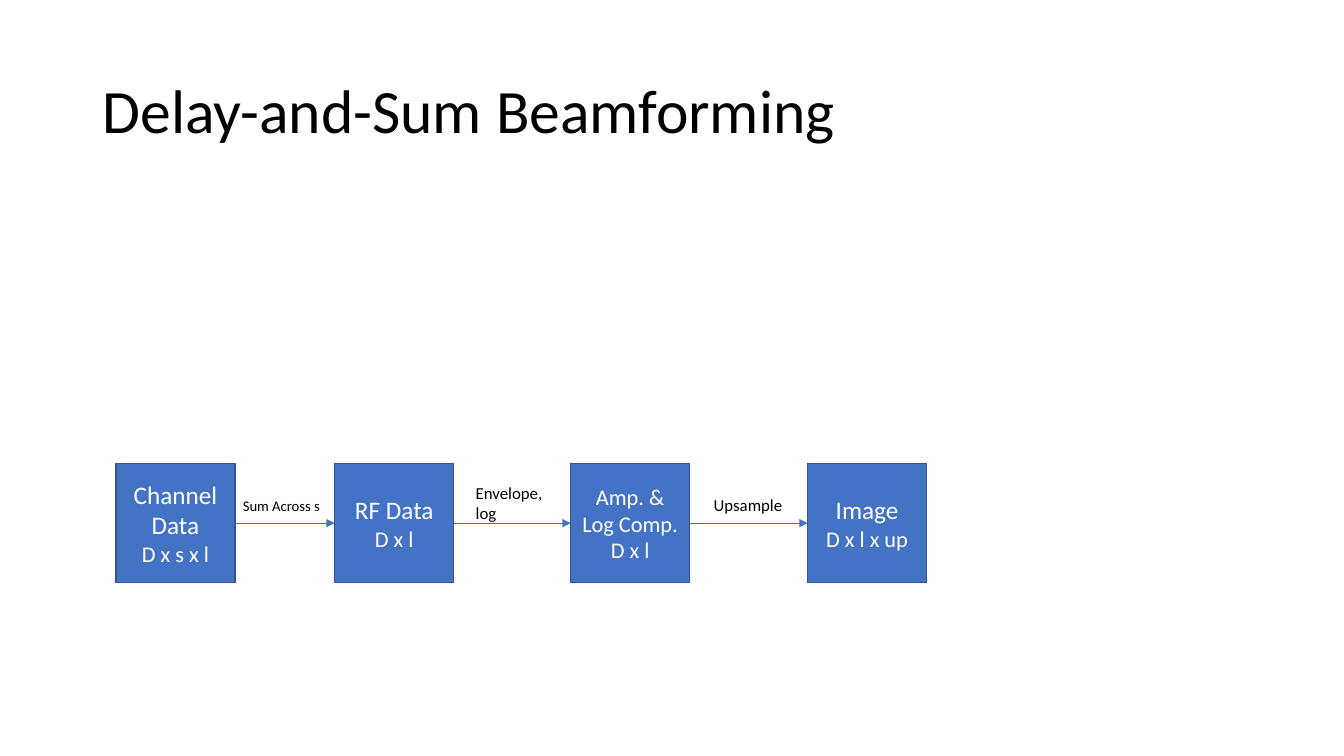
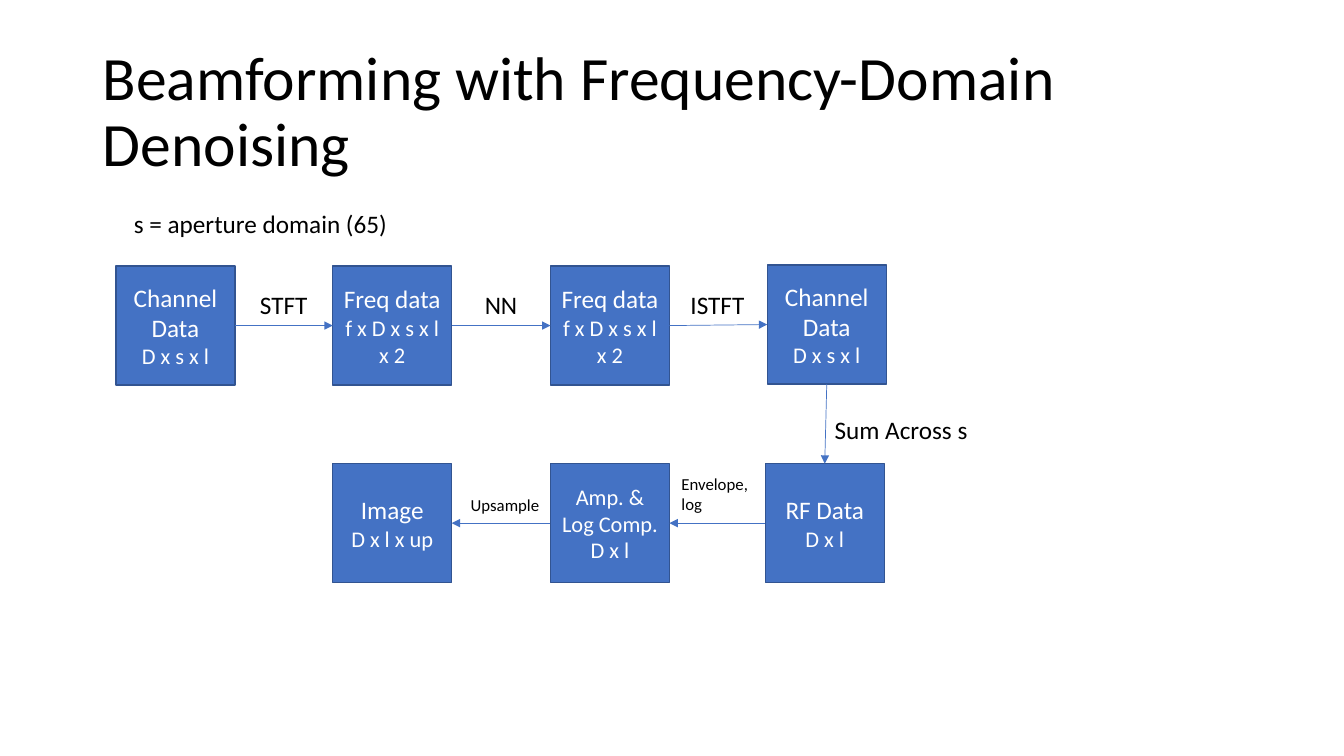
from lxml import etree
from pptx import Presentation
from pptx.dml.color import RGBColor
from pptx.enum.shapes import MSO_CONNECTOR as Connector, MSO_SHAPE as Shape
from pptx.enum.text import MSO_ANCHOR as Anchor, MSO_AUTO_SIZE as AutoSize, PP_ALIGN as Align
from pptx.oxml.ns import qn
from pptx.util import Inches, Pt

# Shared style
BLACK = RGBColor(0x00, 0x00, 0x00)
WHITE = RGBColor(0xFF, 0xFF, 0xFF)
BLUE = RGBColor(0x44, 0x72, 0xC4)
DARK_BLUE = RGBColor(0x32, 0x54, 0x91)
FONT = "Calibri"
BOX_SIZE = 1.18
DETAIL_SIZE = 16
TOP, LEFT, BOTTOM, RIGHT = range(4)  # connection sites of a rectangle

# Stages: text lines and size of the first line
CHANNEL = ("Channel Data", "D x s x l", 18)
FREQUENCY = ("Freq data", "f x D x s x l x 2", 18)
RF = ("RF Data", "D x l", 18)
AMPLITUDE = ("Amp. & Log Comp.", "D x l", 16)
IMAGE = ("Image", "D x l x up", 18)

# Slide content
# boxes: stage, left, top
# arrows: source box, site, target box, site
# labels: text, size, left, top, width, height
SLIDES = [
    {
        "title": "Delay-and-Sum Beamforming",
        "boxes": [(CHANNEL, 1.15, 4.6), (RF, 3.32, 4.6),
                  (AMPLITUDE, 5.66, 4.6), (IMAGE, 8.01, 4.6)],
        "arrows": [(i, RIGHT, i + 1, LEFT) for i in range(3)],
        "labels": [("Sum Across s", 10.5, 2.31, 4.88, 1.01, 0.29),
                   ("Envelope,\nlog", 12, 4.62, 4.74, 0.91, 0.5),
                   ("Upsample", 12, 6.98, 4.86, 0.89, 0.3)],
    },
    {
        "title": "Beamforming with Frequency-Domain Denoising",
        "boxes": [(CHANNEL, 1.15, 2.64), (FREQUENCY, 3.3, 2.64),
                  (FREQUENCY, 5.46, 2.64), (CHANNEL, 7.61, 2.63),
                  (RF, 7.59, 4.6), (AMPLITUDE, 5.46, 4.6), (IMAGE, 3.3, 4.6)],
        "arrows": [(i, RIGHT, i + 1, LEFT) for i in range(3)]
                  + [(3, BOTTOM, 4, TOP)]
                  + [(i, LEFT, i + 1, RIGHT) for i in (4, 5)],
        "labels": [("s = aperture domain (65)", 18, 1.23, 2.02, 2.74, 0.4),
                   ("STFT", 18, 2.48, 2.82, 0.68, 0.4),
                   ("NN", 18, 4.71, 2.82, 0.53, 0.4),
                   ("ISTFT", 18, 6.75, 2.82, 0.74, 0.4),
                   ("Sum Across s", 18, 8.18, 4.06, 1.53, 0.4),
                   ("Envelope,\nlog", 12, 6.66, 4.65, 0.91, 0.5),
                   ("Upsample", 12, 4.57, 4.86, 0.89, 0.3)],
    },
]


def format_paragraph(paragraph, size, color, alignment=Align.LEFT):
    paragraph.alignment = alignment
    for run in paragraph.runs:
        run.font.name = FONT
        run.font.size = Pt(size)
        run.font.color.rgb = color


presentation = Presentation()
presentation.slide_width = Inches(13.33)
presentation.slide_height = Inches(7.5)
title_only = presentation.slide_layouts[5]

for content in SLIDES:
    slide = presentation.slides.add_slide(title_only)

    # Title
    title = slide.shapes.title
    title.left, title.top = Inches(0.92), Inches(0.4)
    title.width, title.height = Inches(11.5), Inches(1.45)
    title.text_frame.text = content["title"]
    title.text_frame.word_wrap = True
    title.text_frame.auto_size = AutoSize.NONE
    title.text_frame.vertical_anchor = Anchor.MIDDLE
    title.text_frame.paragraphs[0].line_spacing = 0.9
    format_paragraph(title.text_frame.paragraphs[0], 44, BLACK)

    # Stage boxes
    boxes = []
    for (name, detail, name_size), left, top in content["boxes"]:
        box = slide.shapes.add_shape(Shape.RECTANGLE, Inches(left), Inches(top),
                                     Inches(BOX_SIZE), Inches(BOX_SIZE))
        box.shadow.inherit = False
        box.fill.solid()
        box.fill.fore_color.rgb = BLUE
        box.line.color.rgb = DARK_BLUE
        box.line.width = Pt(1)
        box.text_frame.text = f"{name}\n{detail}"
        box.text_frame.word_wrap = True
        box.text_frame.vertical_anchor = Anchor.MIDDLE
        for paragraph, size in zip(box.text_frame.paragraphs, (name_size, DETAIL_SIZE)):
            format_paragraph(paragraph, size, WHITE, Align.CENTER)
        boxes.append(box)

    # Arrows glued to the boxes
    for source, source_site, target, target_site in content["arrows"]:
        arrow = slide.shapes.add_connector(Connector.STRAIGHT, 0, 0, 0, 0)
        arrow.begin_connect(boxes[source], source_site)
        arrow.end_connect(boxes[target], target_site)
        arrow.line.color.rgb = BLUE
        arrow.line.width = Pt(0.5)
        etree.SubElement(arrow.line._get_or_add_ln(), qn("a:tailEnd"), type="triangle")
        etree.SubElement(arrow._element.spPr, qn("a:effectLst"))

    # Labels; only those with two lines have a fixed width
    for text, size, left, top, width, height in content["labels"]:
        label = slide.shapes.add_textbox(Inches(left), Inches(top),
                                         Inches(width), Inches(height))
        label.text_frame.text = text
        label.text_frame.word_wrap = "\n" in text
        label.text_frame.auto_size = AutoSize.SHAPE_TO_FIT_TEXT
        for paragraph in label.text_frame.paragraphs:
            format_paragraph(paragraph, size, BLACK)

presentation.save("out.pptx")
